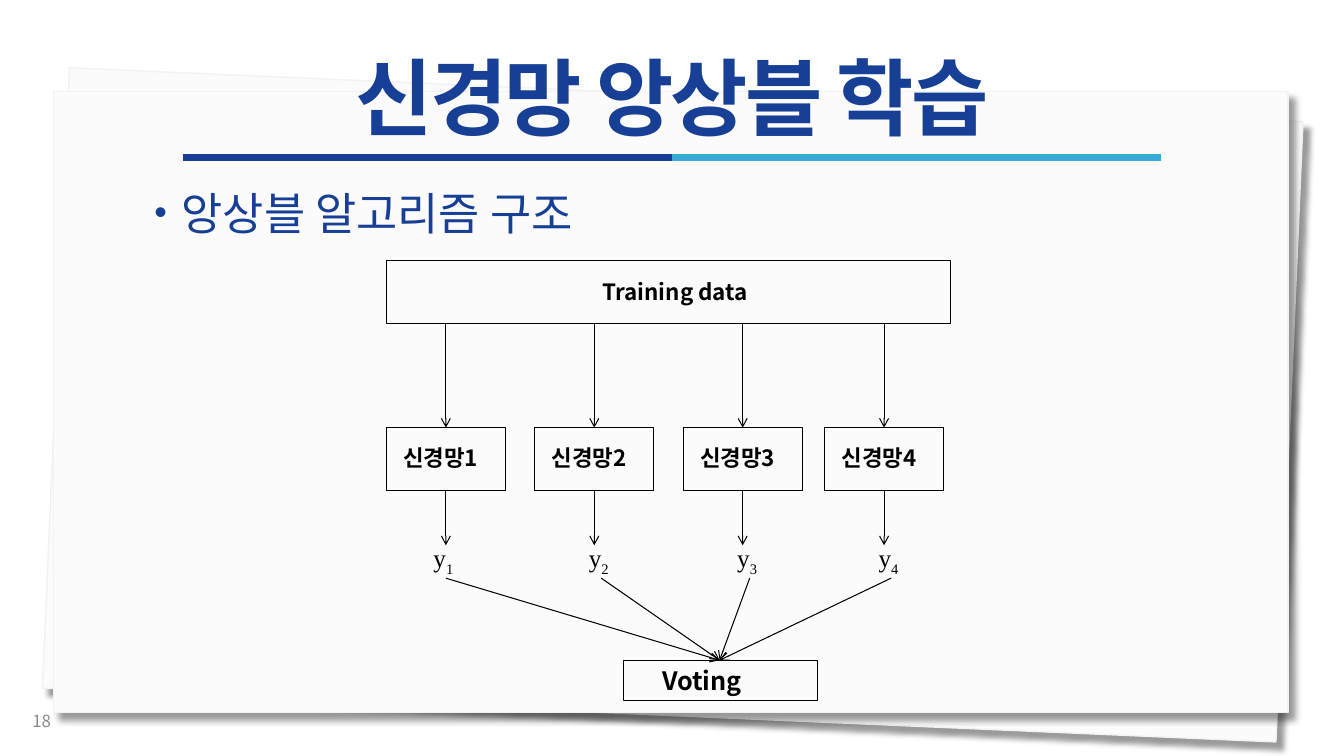
from dataclasses import dataclass

from lxml import etree
from pptx import Presentation
from pptx.dml.color import RGBColor
from pptx.enum.shapes import MSO_CONNECTOR, MSO_SHAPE
from pptx.enum.text import MSO_ANCHOR, MSO_AUTO_SIZE, PP_ALIGN
from pptx.oxml.ns import qn
from pptx.util import Pt

RECT = MSO_SHAPE.RECTANGLE
STRAIGHT = MSO_CONNECTOR.STRAIGHT
TOP, MIDDLE = MSO_ANCHOR.TOP, MSO_ANCHOR.MIDDLE
CENTER = PP_ALIGN.CENTER
NO_FIT = MSO_AUTO_SIZE.NONE


@dataclass(frozen=True)
class Theme:
    sans: str = "Noto Sans CJK KR"
    serif: str = "Times New Roman"
    title: str = "173F95"
    rule_dark: str = "163E94"
    rule_light: str = "36AAD9"
    paper: str = "FBFBFB"
    paper_edge: str = "F2F2F2"
    ink: str = "000000"
    muted: str = "8C8C8C"
    title_size: int = 60
    bullet_size: int = 32
    output_size: int = 18
    label_size: int = 16
    number_size: int = 12


T = Theme()

# Left edge of each network box, and how far its output label sits off centre
NETWORKS = [(276, 0), (382, 5), (488, 5), (589, 5)]
BOX_W, BOX_H = 85, 45
DATA_TOP, NETWORK_TOP, OUTPUT_TOP, VOTING_TOP = 186, 305.5, 384, 471.6
VOTING_X = 514


def child(parent, tag, **attrs):
    return etree.SubElement(parent, qn(tag), {k: str(v) for k, v in attrs.items()})


def place(shape, left, top, width, height):
    shape.left, shape.top = Pt(left), Pt(top)
    shape.width, shape.height = Pt(width), Pt(height)


def add_run(p, text, size, color=T.ink, font=T.sans, bold=False):
    r = p.add_run()
    r.text = text
    r.font.size, r.font.bold, r.font.name = Pt(size), bold, font
    r.font.color.rgb = RGBColor.from_string(color)
    child(r.font._element, "a:ea", typeface=font)
    return r


def add_text(s, left, top, width, height, anchor=TOP):
    """Add an empty wrapped text box and return its first paragraph."""
    tf = s.shapes.add_textbox(Pt(left), Pt(top), Pt(width), Pt(height)).text_frame
    tf.word_wrap = True
    tf.vertical_anchor = anchor
    return tf.paragraphs[0]


def add_box(s, left, top, width, height, fill=None, line=T.ink, weight=0.75):
    sp = s.shapes.add_shape(RECT, Pt(left), Pt(top), Pt(width), Pt(height))
    sp.shadow.inherit = False
    if fill:
        sp.fill.solid()
        sp.fill.fore_color.rgb = RGBColor.from_string(fill)
    else:
        sp.fill.background()
    sp.line.color.rgb = RGBColor.from_string(line)
    sp.line.width = Pt(weight)
    return sp


def add_paper(s, left, top, rotation=0):
    sp = add_box(s, left, top, 882, 443.5, T.paper, T.paper_edge, 1)
    sp.rotation = rotation
    effects = sp._element.spPr.find(qn("a:effectLst"))
    shadow = child(effects, "a:outerShdw", blurRad=Pt(4), dist=Pt(7),
                   dir=45 * 60000, algn="tl", rotWithShape=0)
    child(child(shadow, "a:srgbClr", val=T.ink), "a:alpha", val=40000)


def add_line(s, x1, y1, x2, y2, color=T.ink, weight=0.75, arrow=True):
    line = s.shapes.add_connector(STRAIGHT, Pt(x1), Pt(y1), Pt(x2), Pt(y2))
    line.line.color.rgb = RGBColor.from_string(color)
    line.line.width = Pt(weight)
    if arrow:
        child(line.line._get_or_add_ln(), "a:tailEnd", type="arrow")
    child(line._element.spPr, "a:effectLst")


def fill_placeholder(s, shape, bounds, anchor):
    """Place the placeholder in front of the papers and return its paragraph."""
    s.shapes._spTree.append(shape._element)
    place(shape, *bounds)
    tf = shape.text_frame
    tf.auto_size, tf.vertical_anchor = NO_FIT, anchor
    return tf.paragraphs[0]


def add_title(s, text):
    p = fill_placeholder(s, s.shapes.title, (0, 40.3, 960, 64.8), MIDDLE)
    p.alignment, p.line_spacing = CENTER, 0.9
    r = add_run(p, text, T.title_size, T.title, bold=True)
    r.font._element.set("spc", "-190")


def add_bullet(s, text):
    p = fill_placeholder(s, s.placeholders[1], (101.5, 129, 762.5, 46), TOP)
    p.space_before = Pt(0)
    pPr = p._p.get_or_add_pPr()
    pPr.set("marL", str(Pt(21)))
    pPr.set("indent", str(Pt(-19.5)))
    child(pPr, "a:buSzPct", val=80000)
    child(pPr, "a:buFont", typeface="Arial")
    child(pPr, "a:buChar", char="•")
    add_run(p, text, T.bullet_size, T.title)


def add_network(s, number, left, shift):
    """Draw one network with its input, its output and its vote."""
    x = left + BOX_W / 2
    add_box(s, left, NETWORK_TOP, BOX_W, BOX_H)
    p = add_text(s, left + 5, NETWORK_TOP + 8.5, 90, 26.5)
    add_run(p, f"신경망{number}", T.label_size, bold=True)
    add_line(s, x, DATA_TOP + BOX_H, x, NETWORK_TOP)
    add_line(s, x, NETWORK_TOP + BOX_H, x, OUTPUT_TOP + 5.5)

    p = add_text(s, x + shift - 16, OUTPUT_TOP, 32, 29)
    add_run(p, "y", T.output_size, font=T.serif)
    r = add_run(p, str(number), T.output_size, font=T.serif)
    r.font._element.set("baseline", "-25000")
    add_line(s, x + shift, OUTPUT_TOP + 29, VOTING_X, VOTING_TOP)


def add_voting(s):
    sp = add_box(s, 445.5, VOTING_TOP, 138.5, 29)
    tf = sp.text_frame
    tf.margin_left = Pt(27.5)
    tf.vertical_anchor = TOP
    p = tf.paragraphs[0]
    p.alignment = PP_ALIGN.LEFT
    add_run(p, "Voting", T.output_size, bold=True)


def main():
    prs = Presentation()
    prs.slide_width, prs.slide_height = Pt(960), Pt(540)
    s = prs.slides.add_slide(prs.slide_layouts[1])

    add_paper(s, 39.5, 67.5, rotation=2.5)
    add_paper(s, 38, 65.5)
    add_line(s, 130.5, 112.5, 480, 112.5, T.rule_dark, 4.5, arrow=False)
    add_line(s, 480, 112.5, 829.5, 112.5, T.rule_light, 4.5, arrow=False)
    add_title(s, "신경망 앙상블 학습")
    add_bullet(s, "앙상블 알고리즘 구조")
    p = add_text(s, 16, 500.5, 216, 29, MIDDLE)
    add_run(p, "18", T.number_size, T.muted)

    add_box(s, 276, DATA_TOP, 403, BOX_H)
    p = add_text(s, 423.5, DATA_TOP + 9, 174, 26.5)
    add_run(p, "Training data", T.label_size, bold=True)
    add_voting(s)
    for number, (left, shift) in enumerate(NETWORKS, 1):
        add_network(s, number, left, shift)

    prs.save("out.pptx")


if __name__ == "__main__":
    main()
